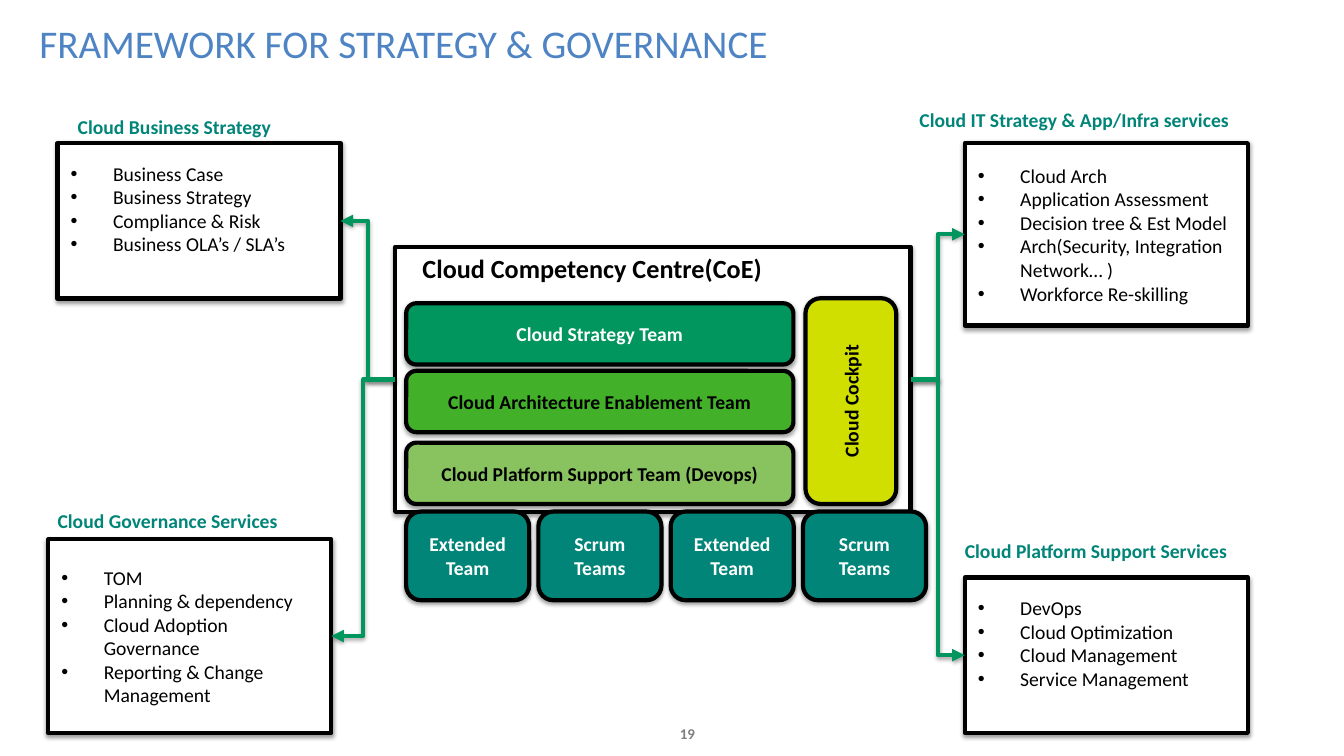
from lxml.etree import SubElement
from pptx import Presentation
from pptx.dml.color import RGBColor
from pptx.enum.shapes import MSO_CONNECTOR, MSO_SHAPE
from pptx.enum.text import MSO_ANCHOR, PP_ALIGN
from pptx.oxml.ns import qn
from pptx.util import Inches, Pt

BLACK = RGBColor(0x00, 0x00, 0x00)
WHITE = RGBColor(0xFF, 0xFF, 0xFF)
GREY = RGBColor(0x80, 0x80, 0x80)
BLUE = RGBColor(0x4E, 0x84, 0xC4)
TEAL = RGBColor(0x00, 0x85, 0x78)
EMERALD = RGBColor(0x00, 0x96, 0x5E)
GREEN = RGBColor(0x43, 0xB0, 0x2A)
SAGE = RGBColor(0x89, 0xC3, 0x5F)
LIME = RGBColor(0xD0, 0xDF, 0x00)

COLUMNS, ROWS = 32, 18
TOP, LEFT, BOTTOM, RIGHT = range(4)


class Slide:
    """Holds the style and the current page; lengths are grid columns and rows."""

    font_name = "Calibri"
    body_size = 14
    line_width = Pt(3)
    padding = 0.13
    indent = Inches(0.42)

    def __init__(self, deck):
        self.column = deck.slide_width / COLUMNS
        self.row = deck.slide_height / ROWS
        self.page = deck.slides.add_slide(deck.slide_layouts[6])

    def place(self, x, y, w, h):
        return [int(n) for n in (x * self.column, y * self.row,
                                 w * self.column, h * self.row)]

    def add_shadow(self, effects, opacity):
        shadow = SubElement(effects, qn("a:outerShdw"), blurRad=str(Pt(3.1)),
                            dist=str(Pt(1.6)), dir="5400000", rotWithShape="0")
        color = SubElement(shadow, qn("a:srgbClr"), val=str(BLACK))
        SubElement(color, qn("a:alpha"), val=str(opacity * 1000))

    def set_frame(self, frame, margins, anchor):
        frame.word_wrap = True
        frame.vertical_anchor = anchor
        (frame.margin_left, frame.margin_top,
         frame.margin_right, frame.margin_bottom) = [Inches(m) for m in margins]

    def add_span(self, para, text, color, size, bold, align):
        para.alignment = align
        span = para.add_run()
        span.text = text
        span.font.name = self.font_name
        span.font.size = Pt(size)
        span.font.bold = bold
        span.font.color.rgb = color

    def text(self, area, text, color, size=body_size, bold=True,
             align=PP_ALIGN.LEFT, margins=(0, 0, 0, 0), anchor=MSO_ANCHOR.TOP):
        frame = self.page.shapes.add_textbox(*self.place(*area)).text_frame
        self.set_frame(frame, margins, anchor)
        self.add_span(frame.paragraphs[0], text, color, size, bold, align)

    def box(self, area, fill=WHITE, kind=MSO_SHAPE.RECTANGLE):
        box = self.page.shapes.add_shape(kind, *self.place(*area))
        box.fill.solid()
        box.fill.fore_color.rgb = fill
        box.line.color.rgb = BLACK
        box.line.width = self.line_width
        box.shadow.inherit = False
        self.add_shadow(box._element.spPr.find(qn("a:effectLst")), 38)
        return box

    def team(self, area, text, fill, color=WHITE):
        box = self.box(area, fill, MSO_SHAPE.ROUNDED_RECTANGLE)
        self.set_frame(box.text_frame, [self.padding] * 4, MSO_ANCHOR.MIDDLE)
        self.add_span(box.text_frame.paragraphs[0], text, color,
                      self.body_size, True, PP_ALIGN.CENTER)
        return box

    def bullets(self, area, items, lift):
        box = self.box(area)
        frame = box.text_frame
        margins = [self.padding] * 3 + [self.padding + lift]
        self.set_frame(frame, margins, MSO_ANCHOR.MIDDLE)
        for index, item in enumerate(items):
            para = frame.add_paragraph() if index else frame.paragraphs[0]
            props = para._p.get_or_add_pPr()
            props.set("marL", str(self.indent))
            props.set("indent", str(-self.indent))
            SubElement(props, qn("a:buFont"), typeface="Arial")
            SubElement(props, qn("a:buChar"), char="•")
            self.add_span(para, item, BLACK, self.body_size, False, PP_ALIGN.LEFT)
        return box

    def arrow(self, start, start_side, end, end_side):
        arrow = self.page.shapes.add_connector(MSO_CONNECTOR.ELBOW, 0, 0, 0, 0)
        arrow.begin_connect(start, start_side)
        arrow.end_connect(end, end_side)
        arrow.line.color.rgb = EMERALD
        arrow.line.width = self.line_width
        SubElement(arrow.line._get_or_add_ln(), qn("a:tailEnd"), type="triangle")
        effects = SubElement(arrow._element.spPr, qn("a:effectLst"))
        self.add_shadow(effects, 35)


def main():
    deck = Presentation()
    deck.slide_width, deck.slide_height = Inches(13.33), Inches(7.5)
    slide = Slide(deck)

    # Title and page number
    slide.text((0.77, 0.17, 21.87, 1.68), "FRAMEWORK FOR STRATEGY & GOVERNANCE",
               BLUE, 28, False, margins=(0.07, 0.04, 0.07, 0.04),
               anchor=MSO_ANCHOR.MIDDLE)
    slide.text((15.2, 17, 2.33, 0.94), "19", GREY, 10.7,
               align=PP_ALIGN.CENTER, anchor=MSO_ANCHOR.MIDDLE)

    # Competency centre with its teams
    centre = slide.box((9.41, 5.88, 12.27, 6.31))
    slide.text((10.06, 6, 9.5, 1.1), "Cloud Competency Centre(CoE)", BLACK, 18.7)
    cockpit = slide.team((17.81, 8.47, 4.9, 2.16), "Cloud Cockpit", LIME, BLACK)
    cockpit.rotation = 270
    for y, name, fill, color in (
            (7.22, "Cloud Strategy Team", EMERALD, WHITE),
            (8.83, "Cloud Architecture Enablement Team", GREEN, BLACK),
            (10.54, "Cloud Platform Support Team (Devops)", SAGE, BLACK)):
        slide.team((9.67, y, 9.22, 1.46), name, fill, color)
    for index, name in enumerate(["Extended Team", "Scrum Teams"] * 2):
        slide.team((9.67 + 3.15 * index, 12.18, 2.93, 2.11), name, TEAL)

    # Surrounding services: label place, box place, lift of the list, items
    services = (
        ("Cloud Business Strategy", (1.85, 2.74), (1.37, 3.41, 3.7), 0.24,
         ("Business Case", "Business Strategy", "Compliance & Risk",
          "Business OLA’s / SLA’s")),
        ("Cloud Governance Services", (1.37, 12.12), (1.15, 12.84, 4.61), 0,
         ("TOM", "Planning & dependency", "Cloud Adoption Governance",
          "Reporting & Change Management")),
        ("Cloud IT Strategy & App/Infra services", (21.89, 2.57),
         (22.97, 3.41, 4.34), 0,
         ("Cloud Arch", "Application Assessment", "Decision tree & Est Model",
          "Arch(Security, Integration Network… )", "Workforce Re-skilling")),
        ("Cloud Platform Support Services", (22.97, 12.84),
         (22.97, 13.75, 3.7), 0.24,
         ("DevOps", "Cloud Optimization", "Cloud Management",
          "Service Management")),
    )
    for label, label_at, (x, y, height), lift, items in services:
        slide.text((*label_at, 8.69, 0.77), label, TEAL)
        box = slide.bullets((x, y, 6.74, height), items, lift)
        sides = (LEFT, RIGHT) if x < COLUMNS / 2 else (RIGHT, LEFT)
        slide.arrow(centre, sides[0], box, sides[1])

    deck.save("out.pptx")


if __name__ == "__main__":
    main()
